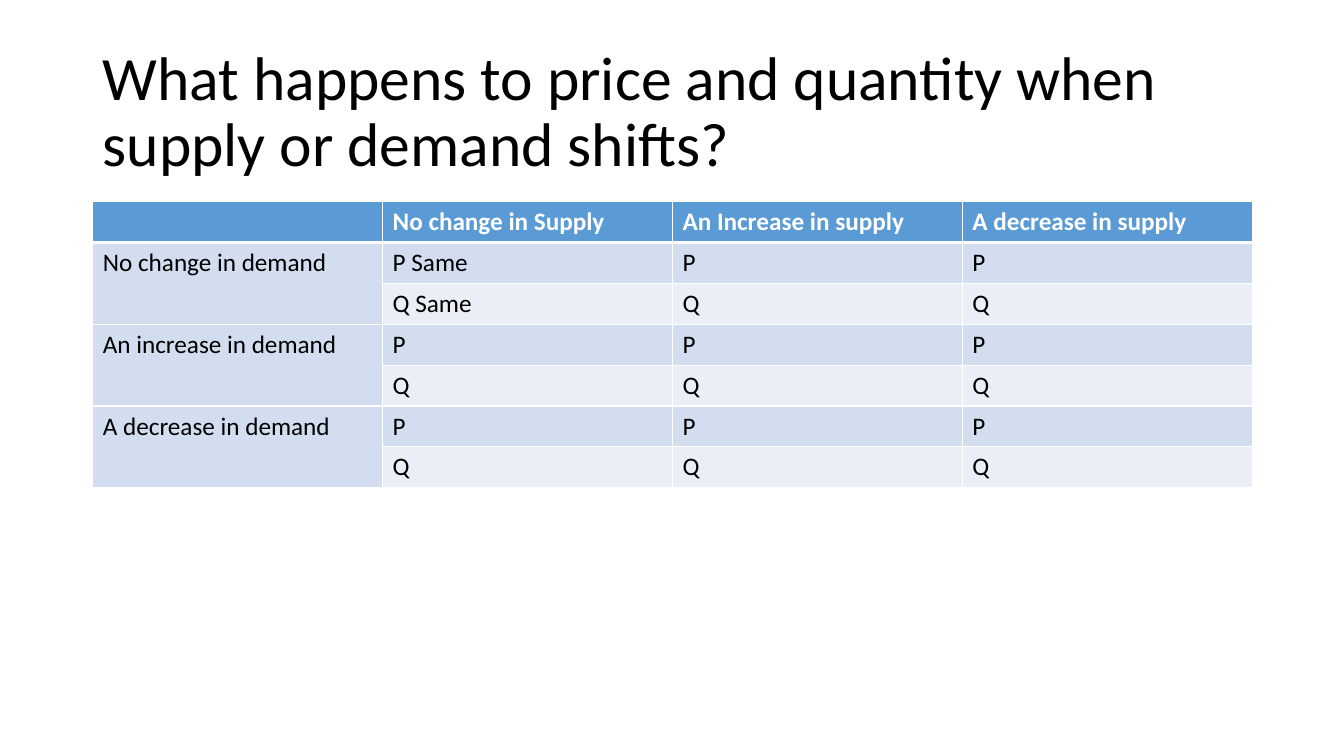
from dataclasses import dataclass

from lxml import etree
from pptx import Presentation, util as u
from pptx.dml.color import RGBColor
from pptx.enum import text
from pptx.oxml.ns import qn


@dataclass(frozen=True)
class Theme:
    font: str = "Calibri"
    title_size: int = 44
    cell_size: int = 18
    ink: str = "000000"
    white: str = "FFFFFF"
    header: str = "5B9BD5"
    bands: tuple[str, str] = ("D2DEEF", "EAEFF7")
    rule: int = 1
    header_rule: int = 3


@dataclass(frozen=True)
class Grid:
    left: float = 0.92
    width: float = 11.5
    title_top: float = 0.4
    title_height: float = 1.45
    table_top: float = 2.0
    row: float = 2.84 / 7


@dataclass(frozen=True)
class DemandCase:
    label: str
    prices: tuple[str, ...] = ("P", "P", "P")
    quantities: tuple[str, ...] = ("Q", "Q", "Q")


THEME = Theme()
GRID = Grid()
HEADINGS = ("", "No change in Supply", "An Increase in supply", "A decrease in supply")
CASES = (
    DemandCase("No change in demand", ("P Same", "P", "P"), ("Q Same", "Q", "Q")),
    DemandCase("An increase in demand"),
    DemandCase("A decrease in demand"),
)


def style(p, size: int, color: str, bold: bool = False) -> None:
    p.font.name = THEME.font
    p.font.size = u.Pt(size)
    p.font.color.rgb = RGBColor.from_string(color)
    p.font.bold = bold


def add_title(s, wording: str) -> None:
    sp = s.shapes.add_textbox(u.Inches(GRID.left), u.Inches(GRID.title_top),
                              u.Inches(GRID.width), u.Inches(GRID.title_height))
    tf = sp.text_frame
    tf.word_wrap = True
    tf.vertical_anchor = text.MSO_ANCHOR.MIDDLE
    p = tf.paragraphs[0]
    p.text = wording
    p.line_spacing = 0.9
    style(p, THEME.title_size, THEME.ink)


def set_borders(cell, top: int, bottom: int) -> None:
    props = cell._tc.get_or_add_tcPr()
    widths = {"a:lnL": THEME.rule, "a:lnR": THEME.rule, "a:lnT": top, "a:lnB": bottom}
    for i, (tag, width) in enumerate(widths.items()):
        line = etree.Element(qn(tag), w=str(u.Pt(width)))
        fill = etree.SubElement(line, qn("a:solidFill"))
        etree.SubElement(fill, qn("a:srgbClr"), val=THEME.white)
        props.insert(i, line)


def fill_cell(cell, row: int, wording: str) -> None:
    header = row == 0
    color = THEME.header if header else THEME.bands[(row - 1) % 2]
    cell.fill.solid()
    cell.fill.fore_color.rgb = RGBColor.from_string(color)
    set_borders(cell, THEME.header_rule if row == 1 else THEME.rule,
                THEME.header_rule if header else THEME.rule)
    p = cell.text_frame.paragraphs[0]
    p.text = wording
    style(p, THEME.cell_size, THEME.white if header else THEME.ink, header)


def add_shift_table(s) -> None:
    rows = [HEADINGS]
    for case in CASES:
        rows += [(case.label, *case.prices), ("", *case.quantities)]
    table = s.shapes.add_table(
        len(rows), len(HEADINGS), u.Inches(GRID.left), u.Inches(GRID.table_top),
        u.Inches(GRID.width), u.Inches(GRID.row * len(rows))).table
    for i, row in enumerate(rows):
        for j, wording in enumerate(row):
            fill_cell(table.cell(i, j), i, wording)
    for i in range(1, len(rows), 2):
        table.cell(i, 0).merge(table.cell(i + 1, 0))


def main() -> None:
    prs = Presentation()
    prs.slide_width, prs.slide_height = u.Inches(13.33), u.Inches(7.5)
    s = prs.slides.add_slide(prs.slide_layouts[6])
    add_title(s, "What happens to price and quantity when supply or demand shifts?")
    add_shift_table(s)
    prs.save("out.pptx")


if __name__ == "__main__":
    main()
